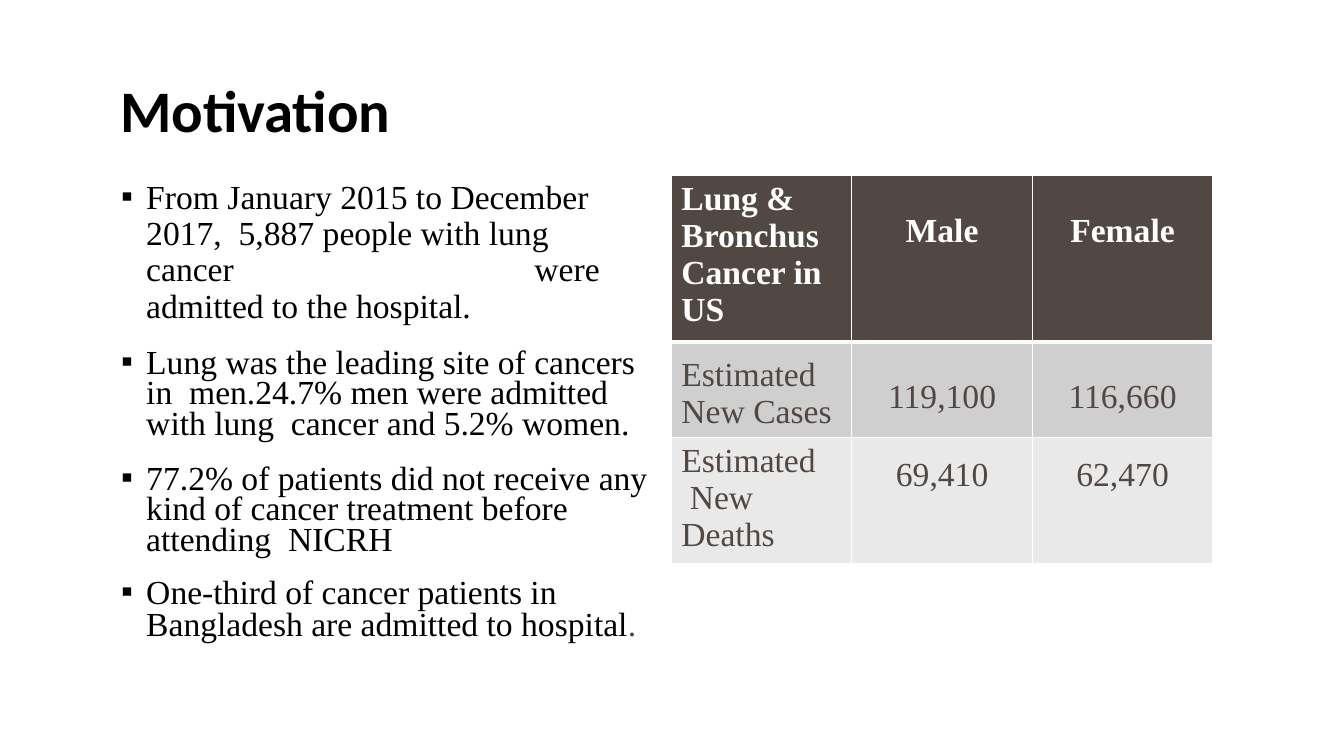
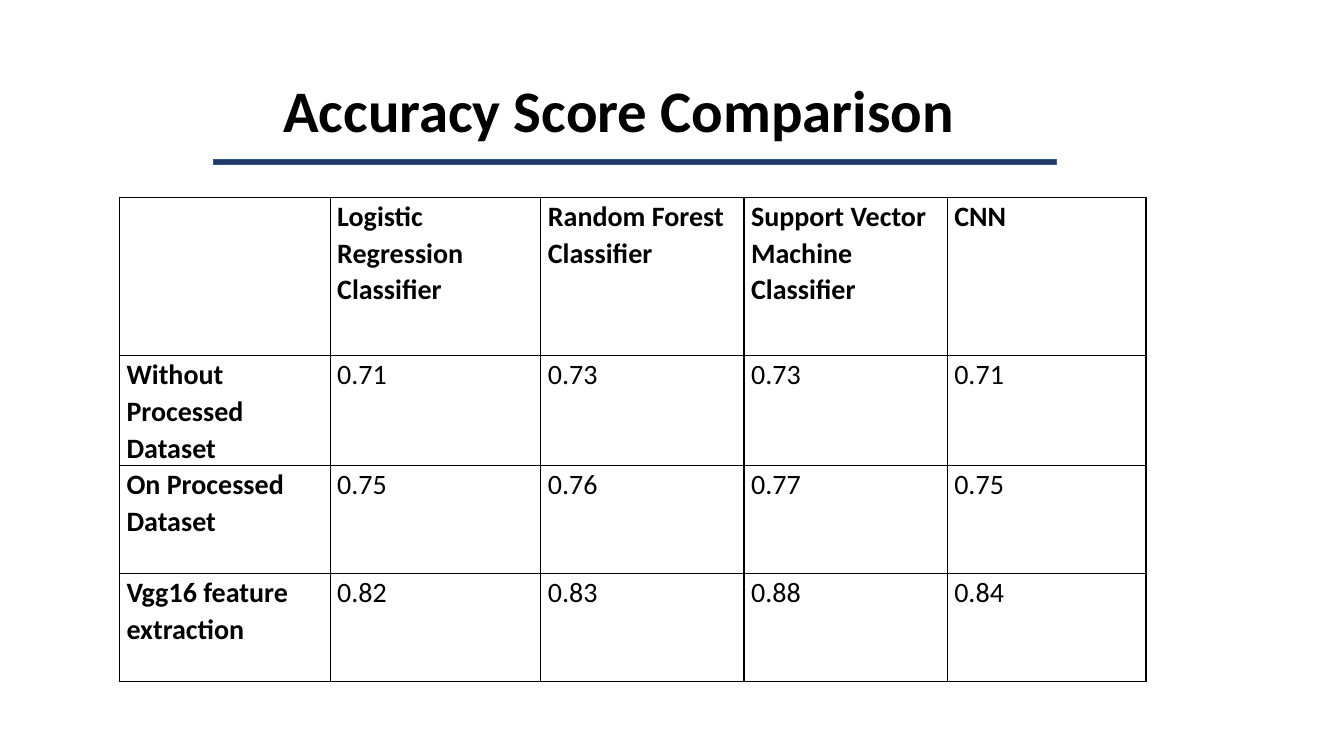
from pptx import Presentation
from pptx.dml.color import RGBColor
from pptx.enum.shapes import MSO_SHAPE
from pptx.enum.text import MSO_ANCHOR, MSO_AUTO_SIZE, PP_ALIGN
from pptx.oxml.ns import qn
from pptx.util import Inches, Pt
from lxml.etree import SubElement

BLACK = RGBColor(0x00, 0x00, 0x00)
WHITE = RGBColor(0xFF, 0xFF, 0xFF)
BROWN = RGBColor(0x51, 0x47, 0x43)
MID_GREY = RGBColor(0xD0, 0xCF, 0xCF)
PALE_GREY = RGBColor(0xE9, 0xE9, 0xE9)
NAVY = RGBColor(0x20, 0x38, 0x64)
BLUE = RGBColor(0x32, 0x54, 0x91)
SANS, SERIF = "Calibri", "Times New Roman"

prs = Presentation()
prs.slide_width, prs.slide_height = Inches(13.33), Inches(7.5)
COL, ROW = prs.slide_width / 100, prs.slide_height / 100


def add_titled_slide(title_text, left):
    slide = prs.slides.add_slide(prs.slide_layouts[5])
    title = slide.shapes.title
    title.left, title.top = int(left * COL), int(9.65 * ROW)
    title.width, title.height = int(60 * COL), int(9.6 * ROW)
    frame = title.text_frame
    frame.text = title_text
    frame.auto_size = MSO_AUTO_SIZE.NONE
    frame.vertical_anchor = MSO_ANCHOR.MIDDLE
    frame.margin_left = frame.margin_right = frame.margin_top = frame.margin_bottom = 0
    heading = frame.paragraphs[0]
    heading.alignment = PP_ALIGN.LEFT
    heading.font.name, heading.font.size = SANS, Pt(42)
    heading.font.bold, heading.font.color.rgb = True, BLACK
    return slide


def add_grid(slide, left, top, col_shares, row_shares, texts, line_color, style_cell):
    """Add a table with 1 pt cell lines; style_cell(cell, paragraph, row, column) does the rest."""
    table = slide.shapes.add_table(
        len(row_shares), len(col_shares), int(left * COL), int(top * ROW),
        int(sum(col_shares) * COL), int(sum(row_shares) * ROW)).table
    table.first_row = table.horz_banding = False
    for column, share in zip(table.columns, col_shares):
        column.width = int(share * COL)
    for r, (share, row_texts) in enumerate(zip(row_shares, texts)):
        table.rows[r].height = int(share * ROW)
        for c, text in enumerate(row_texts):
            cell = table.cell(r, c)
            cell.text = text
            cell.margin_top = cell.margin_bottom = 0
            # Cell lines must come before the fill in the cell's properties.
            properties = cell._tc.get_or_add_tcPr()
            for side in ("lnL", "lnR", "lnT", "lnB"):
                line = SubElement(properties, qn(f"a:{side}"), w=str(Pt(1)))
                fill = SubElement(line, qn("a:solidFill"))
                SubElement(fill, qn("a:srgbClr"), val=str(line_color))
            style_cell(cell, cell.text_frame.paragraphs[0], r, c)


# Motivation
motivation = add_titled_slide("Motivation", 8.93)
findings = [
    ("From January 2015 to December 2017,  5,887 people with lung\vcancer\twere  "
     "admitted to the hospital.", 0.9, 3.4),
    ("Lung was the leading site of cancers in  men.24.7% men were admitted "
     "with lung  cancer and 5.2% women.", Pt(21.6), 18.3),
    ("77.2% of patients did not receive any  kind of cancer treatment before "
     "attending  NICRH", Pt(21.6), 18.1),
    ("One-third of cancer patients in Bangladesh are admitted to hospital", Pt(22.8), 15.2),
]
body = motivation.shapes.add_textbox(
    int(8.93 * COL), int(23.2 * ROW), int(40 * COL), int(62.8 * ROW)).text_frame
body.word_wrap = True
body.margin_left = body.margin_right = body.margin_bottom = 0
for i, (text, spacing, gap) in enumerate(findings):
    finding = body.paragraphs[0] if i == 0 else body.add_paragraph()
    finding.text = text
    finding.line_spacing, finding.space_before = spacing, Pt(gap)
    properties = finding._p.get_or_add_pPr()
    properties.set("marL", str(Inches(0.26)))
    properties.set("indent", str(-Inches(0.25)))
    SubElement(properties, qn("a:buFont"), typeface=SERIF)
    SubElement(properties, qn("a:buChar"), char="▪")
    tabs = SubElement(properties, qn("a:tabLst"))
    for stop in (0.26, 4.11):
        SubElement(tabs, qn("a:tab"), pos=str(Inches(stop)), algn="l")
    finding.font.name, finding.font.size = SERIF, Pt(24)
    finding.font.color.rgb = BLACK
full_stop = finding.add_run()
full_stop.text = "."
full_stop.font.color.rgb = BROWN

estimates = [
    ["Lung &  Bronchus  Cancer in US", "Male", "Female"],
    ["Estimated New Cases", "119,100", "116,660"],
    ["Estimated\v New Deaths", "69,410", "62,470"],
]
ROW_FILLS = [BROWN, MID_GREY, PALE_GREY]
LABEL_TOPS = [0.05, 0.15, 0.05]
VALUE_TOPS = [0.37, 0.37, 0.19]


def style_estimate(cell, paragraph, r, c):
    cell.fill.solid()
    cell.fill.fore_color.rgb = ROW_FILLS[r]
    cell.margin_left = cell.margin_right = Inches(0 if c else 0.1)
    cell.margin_top = Inches((VALUE_TOPS if c else LABEL_TOPS)[r])
    paragraph.alignment = PP_ALIGN.CENTER if c else PP_ALIGN.LEFT
    paragraph.font.name, paragraph.font.size = SERIF, Pt(24)
    paragraph.font.bold = r == 0
    paragraph.font.color.rgb = BROWN if r else WHITE
    for side in {0: ["lnB"], 1: ["lnT"]}.get(r, []):
        cell._tc.tcPr.find(qn(f"a:{side}")).set("w", str(Pt(3)))


add_grid(motivation, 49.95, 23.2, [13.43] * 3, [21.73, 12.67, 16.53],
         estimates, WHITE, style_estimate)

# Accuracy score comparison
comparison = add_titled_slide("Accuracy Score Comparison", 21.08)
scores = [
    ["", "Logistic Regression Classifier", "Random Forest Classifier",
     "Support Vector Machine Classifier", "CNN"],
    ["Without Processed Dataset", "0.71", "0.73", "0.73", "0.71"],
    ["On Processed Dataset", "0.75", "0.76", "0.77", "0.75"],
    ["Vgg16 feature extraction", "0.82", "0.83", "0.88", "0.84"],
]


def style_score(cell, paragraph, r, c):
    cell.fill.background()
    cell.margin_left = cell.margin_right = Inches(0.07)
    paragraph.line_spacing = 1.07
    paragraph.font.name, paragraph.font.size = SANS, Pt(20)
    paragraph.font.bold = r == 0 or c == 0
    paragraph.font.color.rgb = BLACK


add_grid(comparison, 8.89, 26.13, [15.68, 15.68, 15.12, 15.12, 14.78],
         [20.93, 14.53, 14.27, 14.27], scores, BLACK, style_score)

underline = comparison.shapes.add_shape(
    MSO_SHAPE.RECTANGLE, int(15.9 * COL), int(21.07 * ROW), int(62.7 * COL), int(0.67 * ROW))
underline.shadow.inherit = False
underline.fill.solid()
underline.fill.fore_color.rgb = NAVY
underline.line.color.rgb, underline.line.width = BLUE, Pt(1)

prs.save("out.pptx")
